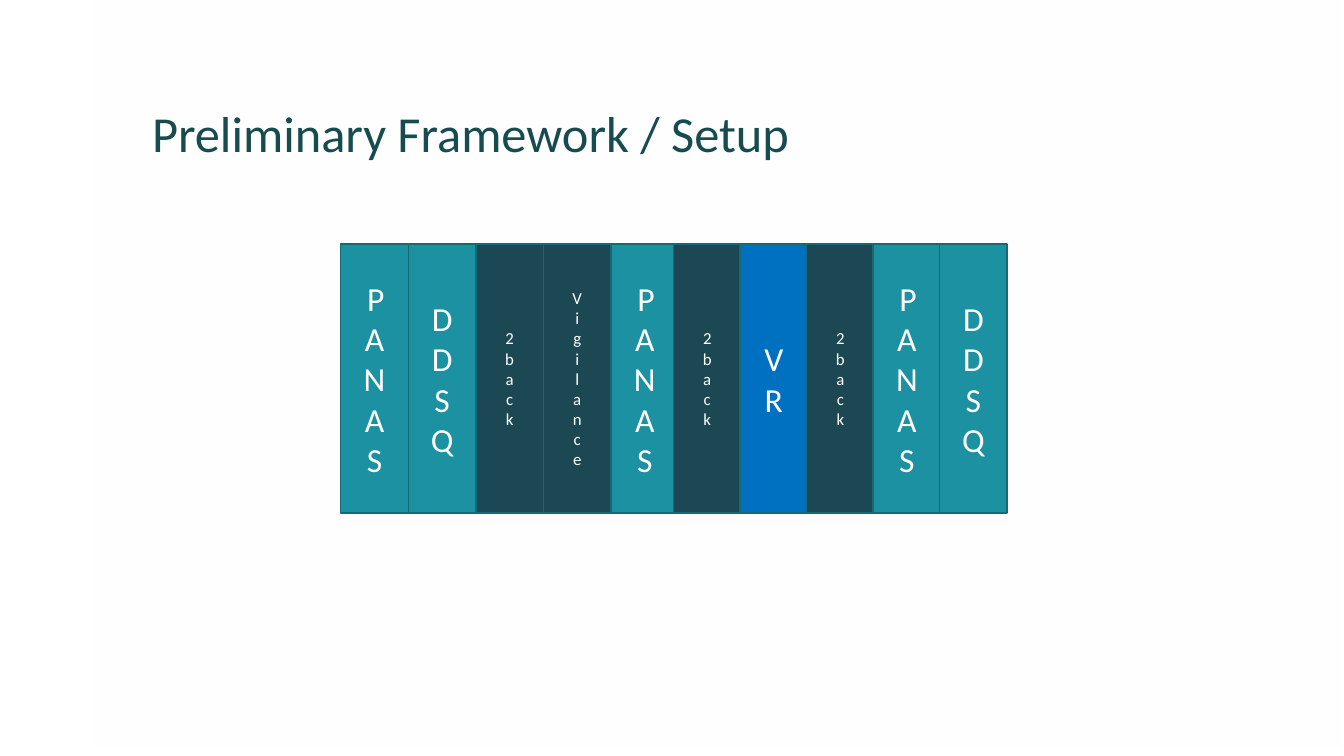
"""Build the Preliminary Framework / Setup slide."""
from lxml import etree
from pptx import Presentation
from pptx.dml.color import RGBColor
from pptx.enum import shapes, text
from pptx.oxml.ns import qn
from pptx.util import Inches, Pt

TITLE = "Preliminary Framework / Setup"
PHASE_GROUPS = [
    (3.38, 0.67, [("PANAS", "survey"), ("DDSQ", "survey"), ("2back", "task"),
                  ("Vigilance", "task"), ("PANAS", "survey")]),
    (6.68, 0.66, [("2back", "task"), ("VR", "vr"), ("2back", "task"),
                  ("PANAS", "survey"), ("DDSQ", "survey")]),
]
PHASE_TOP, PHASE_W, PHASE_H = 2.42, 0.67, 2.67
VEIL_ALPHAS = [60, 0]
THEME = {
    "font": "Calibri",
    "title": ("164B4F", 36),
    "text": "FFFFFF",
    "line": "146B77",
    "survey": ("1B91A1", 24),
    "task": ("1B4852", 12),
    "vr": ("0070C0", 24),
}


def rgb(value):
    return RGBColor.from_string(value)


def write(sp, words, size, color):
    tf = sp.text_frame
    tf.word_wrap = True
    tf.text = words
    p = tf.paragraphs[0]
    font = p.runs[0].font
    font.name, font.size, font.color.rgb = THEME["font"], Pt(size), rgb(color)
    return tf, p


def add_rect(s, left, top, width, height):
    sp = s.shapes.add_shape(shapes.MSO_SHAPE.RECTANGLE, Inches(left),
                            Inches(top), Inches(width), Inches(height))
    sp.shadow.inherit = False
    return sp


def add_veil(s):
    sp = add_rect(s, 0.91, 0, 12.41, 7.5)
    sp.line.fill.background()
    sp.fill.gradient()
    sp.fill.gradient_angle = 270
    for stop in sp.fill.gradient_stops:
        stop.color.rgb = rgb(THEME["text"])
    colors = sp.fill._xPr.iter(qn("a:srgbClr"))
    for color, alpha in zip(colors, VEIL_ALPHAS):
        etree.SubElement(color, qn("a:alpha")).set("val", str(alpha * 1000))


def add_title(s):
    sp = s.shapes.add_textbox(Inches(1.41), Inches(0.42),
                              Inches(10.5), Inches(1.25))
    color, size = THEME["title"]
    tf, p = write(sp, TITLE, size, color)
    tf.vertical_anchor = text.MSO_ANCHOR.BOTTOM
    p.line_spacing = 0.9


def add_phase(s, left, label, kind):
    fill, size = THEME[kind]
    sp = add_rect(s, left, PHASE_TOP, PHASE_W, PHASE_H)
    sp.fill.solid()
    sp.fill.fore_color.rgb = rgb(fill)
    sp.line.color.rgb = rgb(THEME["line"])
    sp.line.width = Pt(1)
    tf, p = write(sp, label, size, THEME["text"])
    tf.vertical_anchor = text.MSO_ANCHOR.MIDDLE
    tf._txBody.bodyPr.set("vert", "wordArtVert")
    p.alignment = text.PP_ALIGN.CENTER


def main():
    prs = Presentation()
    prs.slide_width, prs.slide_height = Inches(13.33), Inches(7.5)
    s = prs.slides.add_slide(prs.slide_layouts[6])
    add_veil(s)
    add_title(s)
    for start, step, phases in PHASE_GROUPS:
        for i, (label, kind) in enumerate(phases):
            add_phase(s, start + i * step, label, kind)
    prs.save("out.pptx")


if __name__ == "__main__":
    main()
